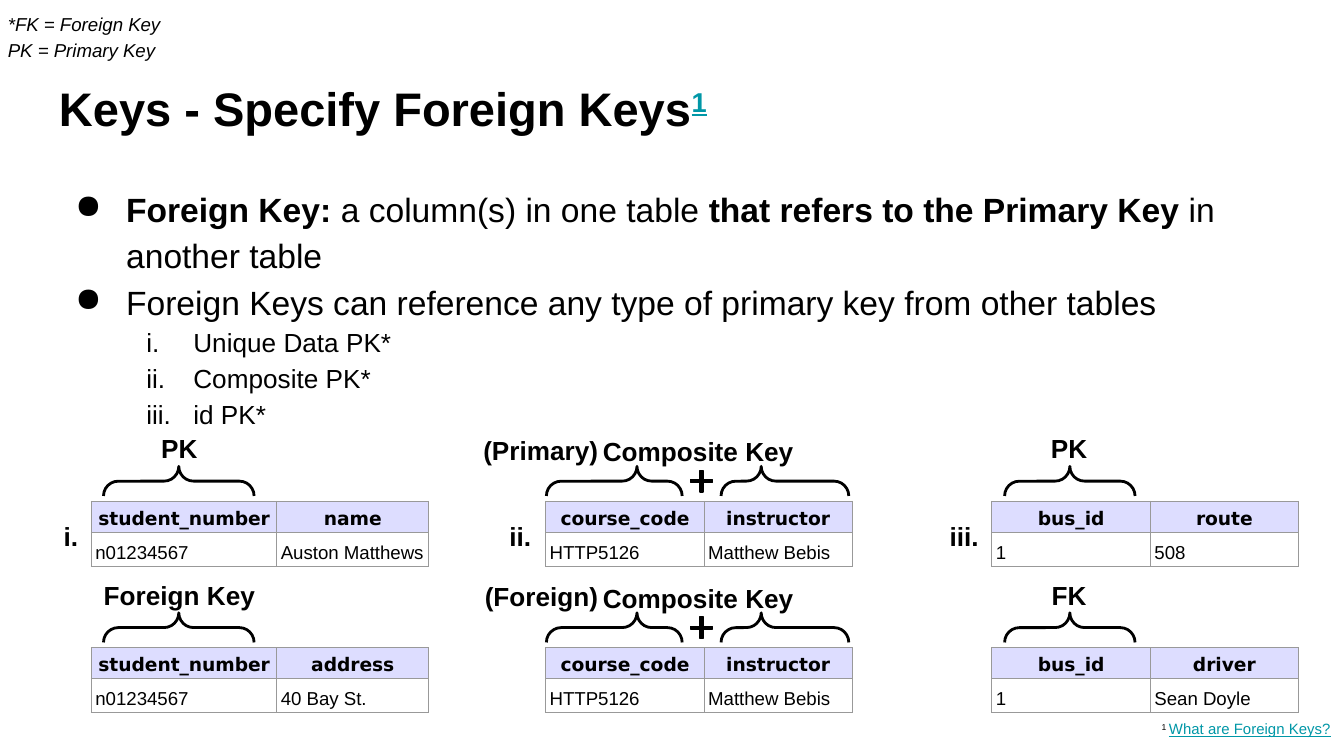
from typing import NamedTuple

from lxml import etree
from pptx import Presentation
from pptx import util as u
from pptx.dml.color import RGBColor
from pptx.enum import shapes, text
from pptx.oxml.ns import qn

PX = 9144  # EMU in one px, 100 px to the inch
STEP = 109  # from the primary key row down to the foreign key row
BLACK, TEAL, GREY, LILAC, WHITE = "000000", "0097A7", "999999", "DDDDFF", "FFFFFF"
LEFT, MID, RIGHT = text.PP_ALIGN.LEFT, text.PP_ALIGN.CENTER, text.PP_ALIGN.RIGHT


class Label(NamedTuple):
    x: int
    y: int
    w: int
    words: tuple[str, str]  # primary row, foreign row
    align: text.PP_ALIGN = MID


class Brace(NamedTuple):
    mid: int
    w: int
    tip: float = 0.5


class Group(NamedTuple):
    mark: Label
    x: int
    cols: tuple[int, int]
    grids: tuple  # primary table, foreign table
    labels: tuple[Label, ...]
    braces: tuple[Brace, ...]


COURSE = (("course_code", "instructor"), ("HTTP5126", "Matthew Bebis"))
GROUPS = (
    Group(Label(29, 377, 39, ("i.", ""), RIGHT), 68, (138, 113),
          ((("student_number", "name"), ("n01234567", "Auston Matthews")),
           (("student_number", "address"), ("n01234567", "40 Bay St."))),
          (Label(8, 312, 251, ("PK", "Foreign Key")),),
          (Brace(133, 112),)),
    Group(Label(366, 377, 39, ("ii.", ""), RIGHT), 406, (118, 110),
          (COURSE, COURSE),
          (Label(394, 314, 251, ("Composite Key", "Composite Key")),
           Label(343, 313, 112, ("(Primary)", "(Foreign)"), RIGHT)),
          (Brace(457, 101, 0.333), Brace(584, 95, 0.686))),
    Group(Label(696, 377, 42, ("iii.", ""), RIGHT), 738, (118, 110),
          ((("bus_id", "route"), ("1", "508")),
           (("bus_id", "driver"), ("1", "Sean Doyle"))),
          (Label(670, 312, 251, ("PK", "FK")),),
          (Brace(796, 97),)),
)


def px(*vals: float) -> list[u.Emu]:
    return [u.Emu(round(v * PX)) for v in vals]


def rgb(code: str) -> RGBColor:
    return RGBColor.from_string(code)


def style(font, size: float, bold: bool = False, name: str = "Arial") -> None:
    font.name, font.size, font.bold = name, u.Pt(size), bold
    font.color.rgb = rgb(BLACK)


def frame(slide, x: int, y: int, w: int, h: int):
    """Add an empty wrapping text box and return its text frame."""
    tf = slide.shapes.add_textbox(*px(x, y, w, h)).text_frame
    tf.word_wrap = True
    tf.margin_left, tf.margin_right, tf.margin_top, tf.margin_bottom = px(10, 10, 10, 10)
    return tf


def para(tf, words: str, size: float, bold: bool = False, first: bool = True):
    p = tf.paragraphs[0] if first else tf.add_paragraph()
    style(p.font, size, bold)
    p.add_run().text = words
    return p


def link(p, words: str):
    run = p.add_run()
    run.text = words
    run.font.color.rgb, run.font.underline = rgb(TEAL), True
    return run


def lift(run) -> None:
    """Make the run superscript."""
    run.font._element.set("baseline", "30000")


def bullet(p, left: int, hang: int, tag: str, **attrs: str) -> None:
    p.line_spacing = 1.15
    ppr = p._p.get_or_add_pPr()
    ppr.set("marL", str(left * PX))
    ppr.set("indent", str(-hang * PX))
    mark = etree.Element(qn(tag), attrs)
    ppr.insert_element_before(mark, "a:tabLst", "a:defRPr", "a:extLst")


def border(cell) -> None:
    tc = cell._tc.get_or_add_tcPr()
    for i, side in enumerate(("a:lnL", "a:lnR", "a:lnT", "a:lnB")):
        line = etree.Element(qn(side), w=str(u.Pt(0.6)))
        fill = etree.SubElement(line, qn("a:solidFill"))
        etree.SubElement(fill, qn("a:srgbClr"), val=GREY)
        tc.insert(i, line)


def grid(slide, x: int, y: int, cols: tuple[int, int], rows: tuple) -> None:
    heights = (18, 25)
    table = slide.shapes.add_table(2, 2, *px(x, y, sum(cols), sum(heights))).table
    table.first_row = table.horz_banding = False
    for c, w in enumerate(cols):
        table.columns[c].width = px(w)[0]
    for r, row in enumerate(rows):
        table.rows[r].height = px(heights[r])[0]
        head = r == 0
        for c, words in enumerate(row):
            cell = table.cell(r, c)
            cell.fill.solid()
            cell.fill.fore_color.rgb = rgb(LILAC if head else WHITE)
            cell.margin_left, cell.margin_right, cell.margin_top, cell.margin_bottom = px(3, 3, 2, 2)
            cell.vertical_anchor = text.MSO_ANCHOR.BOTTOM
            p = para(cell.text_frame, words, 10, head)
            p.font.name = "DejaVu Sans" if head else "Arial"
            p.alignment = MID if head else LEFT
            p.line_spacing = 1.15
            border(cell)


def label(slide, item: Label, row: int) -> None:
    tf = frame(slide, item.x, item.y + row * STEP, item.w, 44)
    para(tf, item.words[row], 14, True).alignment = item.align


def brace(slide, item: Brace, mid: int) -> None:
    """Draw a brace that points up, centred on the height mid."""
    shape = slide.shapes.add_shape(
        shapes.MSO_SHAPE.LEFT_BRACE, *px(item.mid - 11, mid - item.w / 2, 22, item.w))
    shape.rotation = 90
    shape.adjustments[0], shape.adjustments[1] = 0.5, item.tip
    shape.shadow.inherit = False
    shape.fill.background()
    shape.line.color.rgb, shape.line.width = rgb(BLACK), u.Pt(1.5)


def plus(slide, x: int, y: int) -> None:
    shape = slide.shapes.add_shape(shapes.MSO_SHAPE.MATH_PLUS, *px(x, y, 22, 22))
    shape.adjustments[0] = 0.094
    shape.shadow.inherit = False
    shape.fill.solid()
    shape.fill.fore_color.rgb = shape.line.color.rgb = rgb(BLACK)
    shape.line.width = u.Pt(0.75)


def prose(slide) -> None:
    """Write the title, the bullets, the legend and the footnote."""
    lift(link(para(frame(slide, 34, 49, 932, 63), "Keys - Specify Foreign Keys", 25.2, True), "1"))

    body = frame(slide, 34, 126, 932, 202)
    p = para(body, "Foreign Key:", 18)
    p.runs[0].font.bold = True
    for words, bold in ((" a column(s) in one table ", False),
                        ("that refers to the Primary Key", True),
                        (" in another table", False)):
        run = p.add_run()
        run.text, run.font.bold = words, bold
    fact = para(body, "Foreign Keys can reference any type of primary key from other tables",
                18, first=False)
    for p in (p, fact):
        bullet(p, 50, 38, "a:buChar", char="●")
    for words in ("Unique Data PK*", "Composite PK*", "id PK*"):
        p = para(body, words, 14, first=False)
        p.level = 1
        bullet(p, 100, 35, "a:buAutoNum", type="romanLcPeriod")

    legend = frame(slide, -4, -3, 328, 56)
    for i, words in enumerate(("*FK = Foreign Key", "PK = Primary Key")):
        p = para(legend, words, 10, first=i == 0)
        p.font.italic, p.line_spacing = True, 1.15

    note = para(frame(slide, 0, 529, 1000, 34), "1 ", 8)
    note.alignment = RIGHT
    lift(note.runs[0])
    link(note, "What are Foreign Keys?")


def main() -> None:
    deck = Presentation()
    deck.slide_width, deck.slide_height = px(1000, 562.5)
    slide = deck.slides.add_slide(deck.slide_layouts[6])
    prose(slide)
    for group in GROUPS:
        label(slide, group.mark, 0)
        for row, rows in enumerate(group.grids):
            grid(slide, group.x, 373 + row * STEP, group.cols, rows)
            for item in group.labels:
                label(slide, item, row)
            for item in group.braces:
                brace(slide, item, 358 + row * STEP)
    for row in range(2):
        plus(slide, 511, 347 + row * STEP)
    deck.save("out.pptx")


if __name__ == "__main__":
    main()
